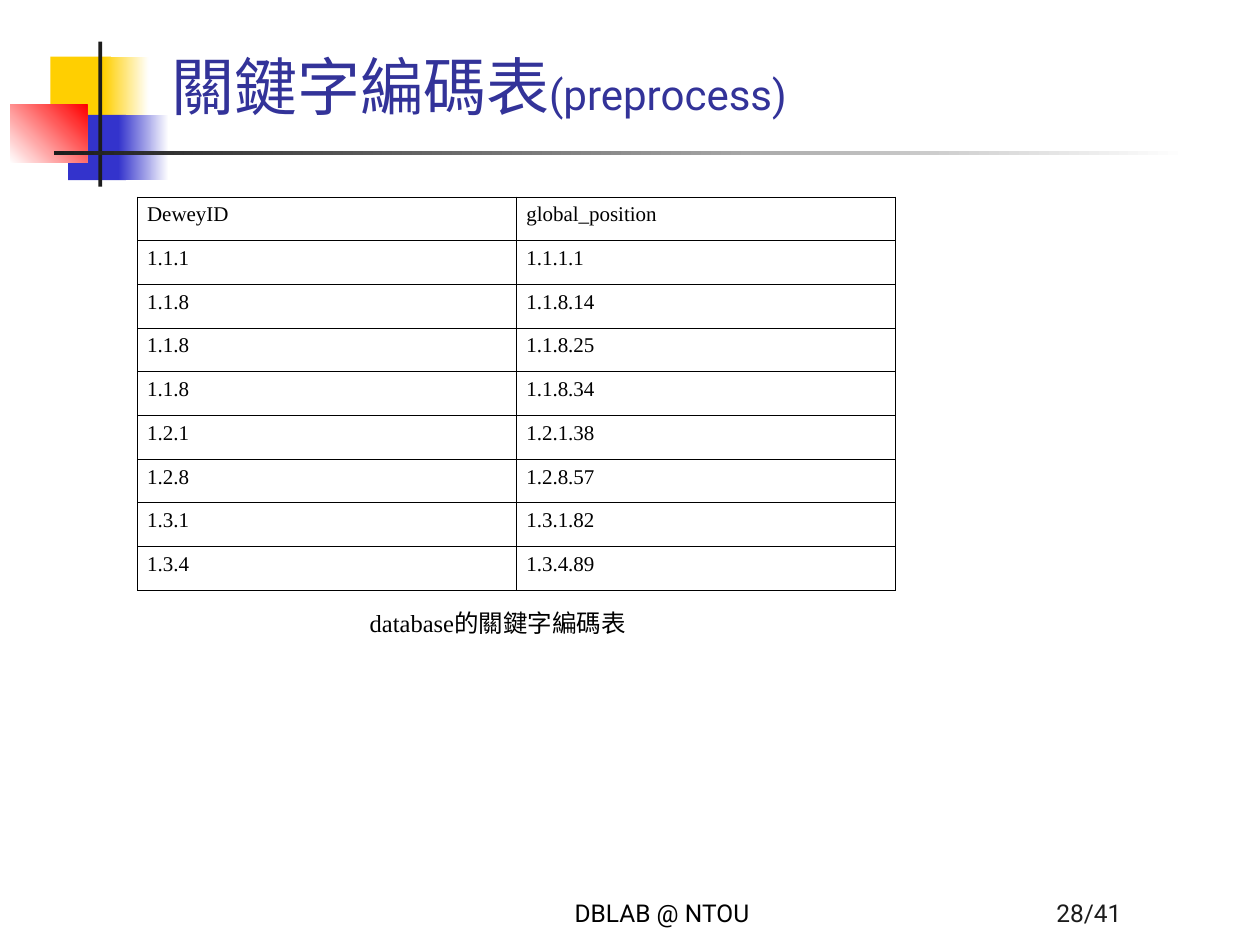
from pptx import Presentation
from pptx.dml.color import RGBColor
from pptx.enum.shapes import MSO_SHAPE
from pptx.enum.text import MSO_ANCHOR as ANCHOR, PP_ALIGN as ALIGN
from pptx.oxml import parse_xml
from pptx.oxml.ns import nsdecls, qn
from pptx.util import Pt

COLORS = {
    "yellow": "FFCF01", "blue": "3333CC", "red": "FF0000", "ink": "1C1C1C",
    "white": "FFFFFF", "title": "333399", "black": "000000",
}
SANS, SERIF, CJK = "Roboto", "Times New Roman", "Noto Sans CJK SC"

ROWS = [
    ("DeweyID", "global_position"),
    ("1.1.1", "1.1.1.1"),
    ("1.1.8", "1.1.8.14"),
    ("1.1.8", "1.1.8.25"),
    ("1.1.8", "1.1.8.34"),
    ("1.2.1", "1.2.1.38"),
    ("1.2.8", "1.2.8.57"),
    ("1.3.1", "1.3.1.82"),
    ("1.3.4", "1.3.4.89"),
]


def rgb(name):
    return RGBColor.from_string(COLORS[name])


def style_run(r, size, font, color):
    r.font.size = Pt(size)
    r.font.name = font
    r.font.color.rgb = rgb(color)
    ea = r._r.get_or_add_rPr().makeelement(qn("a:ea"), {"typeface": CJK})
    r.font._element.find(qn("a:latin")).addnext(ea)


def add_text(slide, box, runs, color, anchor, align=ALIGN.LEFT, wrap=True):
    """Place one line made of (text, size, font) runs."""
    tf = slide.shapes.add_textbox(*map(Pt, box)).text_frame
    tf.word_wrap = wrap
    tf.vertical_anchor = anchor
    p = tf.paragraphs[0]
    p.alignment = align
    for text, size, font in runs:
        r = p.add_run()
        r.text = text
        style_run(r, size, font, color)


def add_block(slide, box, start, end=None, angle=0):
    """Plain rectangle, or a gradient one when an end colour is given."""
    sp = slide.shapes.add_shape(MSO_SHAPE.RECTANGLE, *map(Pt, box))
    sp.shadow.inherit = False
    sp.line.fill.background()
    if end is None:
        sp.fill.solid()
        sp.fill.fore_color.rgb = rgb(start)
        return
    sp.fill.gradient()
    sp.fill.gradient_angle = angle
    for stop, color, position in zip(sp.fill.gradient_stops, (start, end), (0, 1)):
        stop.color.rgb = rgb(color)
        stop.position = position


def add_ornament(slide, left, top):
    """Coloured squares with the crossing bars of the heading."""
    blocks = [
        ((23, 8.6, 34.6, 37.4), "yellow"),
        ((53.3, 8.6, 25.9, 37.4), "yellow", "white"),
        ((33.1, 41.8, 33.1, 37.4), "blue"),
        ((61.9, 41.8, 28.8, 37.4), "blue", "white"),
        ((0, 36, 44, 33.1), "white", "red", 45),
        ((50.4, 0, 2.2, 82.8), "ink"),
        ((25.2, 62.6, 648, 2.2), "ink", "white"),
    ]
    for (x, y, w, h), *paint in blocks:
        add_block(slide, (left + x, top + y, w, h), *paint)


def add_border(cell, color, width):
    tc_pr = cell._tc.get_or_add_tcPr()
    for i, side in enumerate(("lnL", "lnR", "lnT", "lnB")):
        tc_pr.insert(i, parse_xml(
            f'<a:{side} {nsdecls("a")} w="{Pt(width)}"><a:solidFill>'
            f'<a:srgbClr val="{COLORS[color]}"/></a:solidFill></a:{side}>'))


def add_code_table(slide, left, top, width, height):
    table = slide.shapes.add_table(
        len(ROWS), len(ROWS[0]), Pt(left), Pt(top), Pt(width), Pt(height)).table
    table.first_row = table.horz_banding = False
    for row, values in zip(table.rows, ROWS):
        row.height = Pt(height / len(ROWS))
        for cell, value in zip(row.cells, values):
            cell.margin_left = cell.margin_right = Pt(5.6)
            cell.margin_top = cell.margin_bottom = Pt(3.6)
            cell.fill.background()
            add_border(cell, "black", 0.45)
            cell.text_frame.text = value
            style_run(cell.text_frame.paragraphs[0].runs[0], 12, SERIF, "black")


def add_footer(slide, top, height):
    add_text(slide, (264.2, top, 228.2, height), [("DBLAB @ NTOU", 14, SANS)],
             "black", ANCHOR.BOTTOM, ALIGN.CENTER)
    add_text(slide, (498.2, top, 149.8, height), [("28/41", 14, SANS)],
             "ink", ANCHOR.BOTTOM, ALIGN.RIGHT)


def main():
    prs = Presentation()
    prs.slide_width, prs.slide_height = Pt(720), Pt(540)
    slide = prs.slides.add_slide(prs.slide_layouts[6])

    # Heading
    add_ornament(slide, 5.8, 23.8)
    add_text(slide, (90.7, 12.2, 613.4, 61.9),
             [("關鍵字編碼表", 36, SANS), ("(preprocess)", 24, SANS)],
             "title", ANCHOR.BOTTOM)

    # Table and caption
    add_code_table(slide, 78.5, 112.5, 433.4, 225)
    add_text(slide, (204.2, 343.4, 164.4, 24.5),
             [("database", 14, SERIF), ("的關鍵字編碼表", 14, CJK)],
             "black", ANCHOR.MIDDLE, wrap=False)

    add_footer(slide, 497.5, 36)
    prs.save("out.pptx")


if __name__ == "__main__":
    main()
